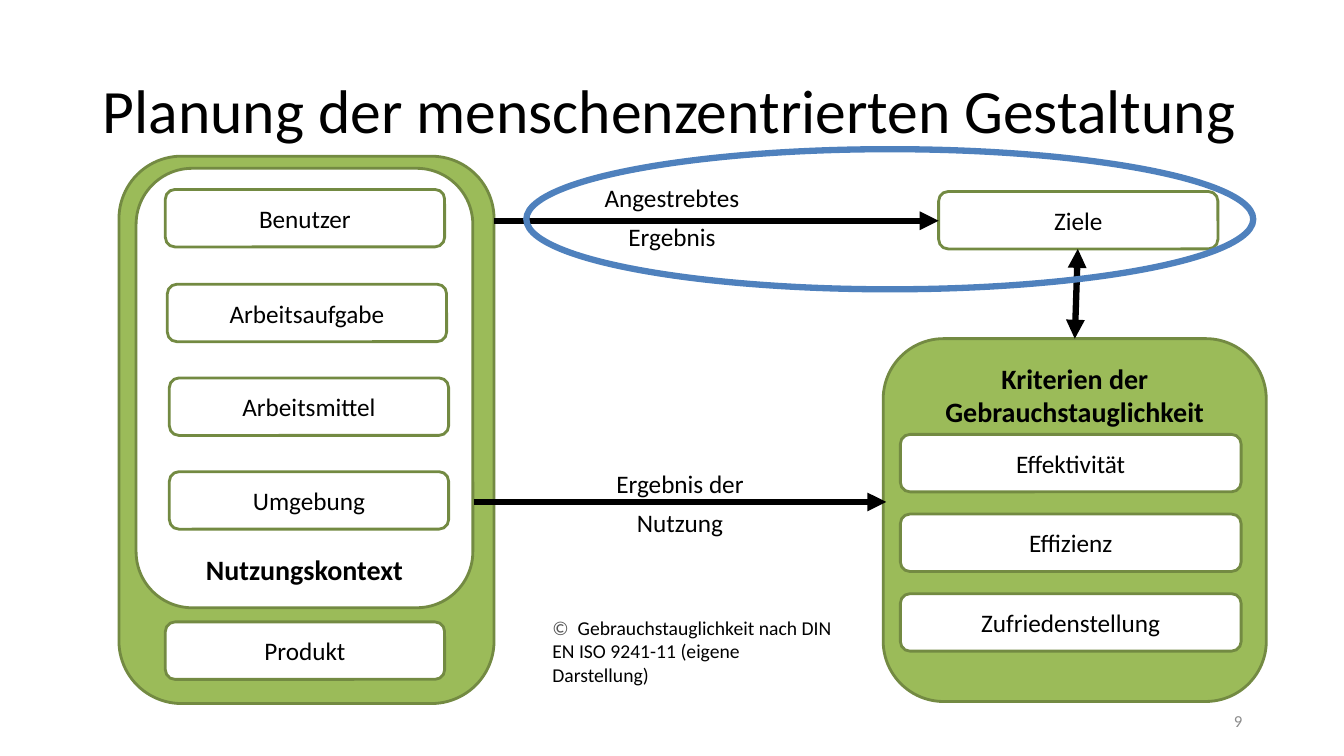
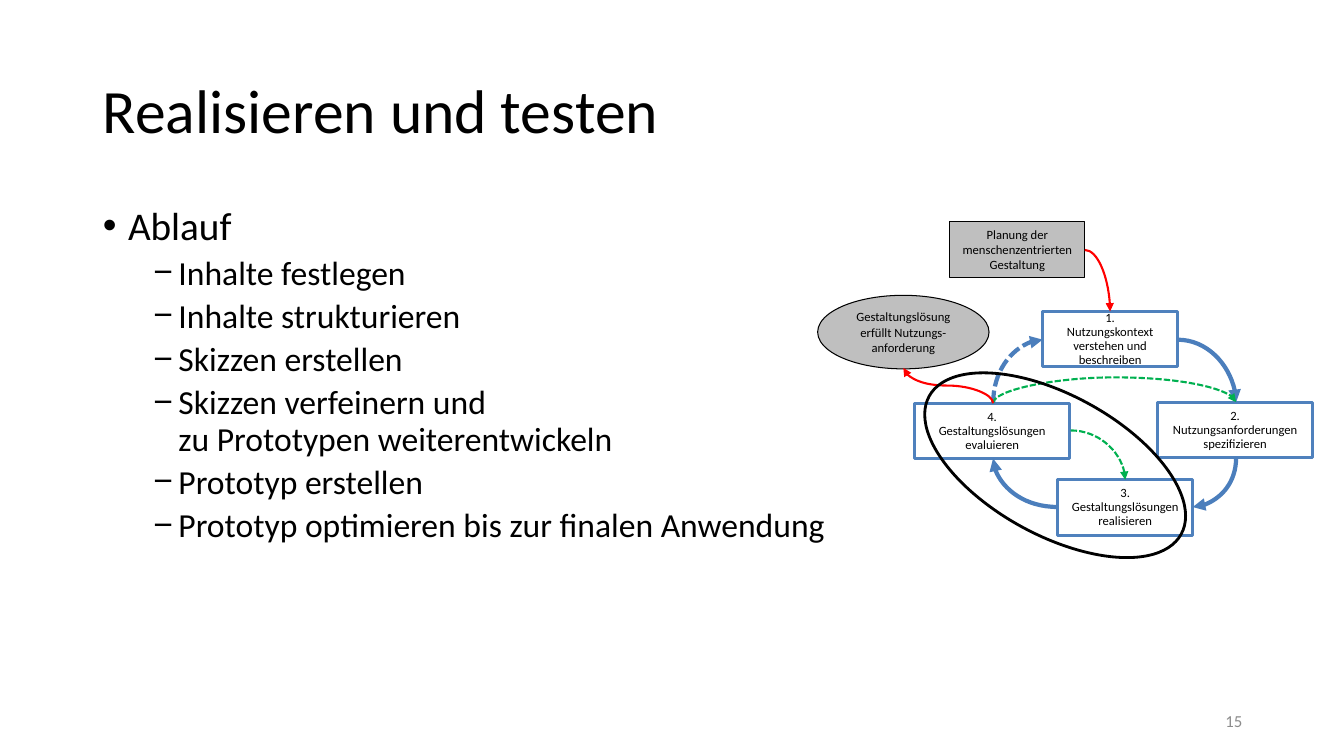
"""Build two slides on human-centred design: planning, then realising and testing."""
from lxml import etree
from pptx import Presentation
from pptx.dml.color import RGBColor
from pptx.enum.dml import MSO_LINE
from pptx.enum.shapes import MSO_CONNECTOR as CONNECTOR, MSO_SHAPE as SHAPE
from pptx.enum.text import MSO_ANCHOR as ANCHOR, MSO_AUTO_SIZE as AUTO_SIZE, PP_ALIGN as ALIGN
from pptx.oxml.ns import qn
from pptx.util import Inches, Pt

FONT = "Calibri"
BLACK, WHITE, GRAY, LIGHT_GRAY = "000000", "FFFFFF", "8C8C8C", "BFBFBF"
GREEN, DARK_GREEN, BLUE, ARROW_BLUE = "9BBB59", "738A42", "4F81BD", "4B7EBC"
ARROW_GREEN, RED, COPYRIGHT_GRAY = "00B050", "FF0000", "535353"
TITLE_BOX = (0.92, 0.4, 11.5, 1.45)
NUMBER_BOX = (9.42, 6.95, 3, 0.4)

CONTEXT_BOXES = [("Benutzer", 1.64, 1.88), ("Arbeitsaufgabe", 1.66, 2.82),
                 ("Arbeitsmittel", 1.68, 3.75), ("Umgebung", 1.68, 4.68),
                 ("Produkt", 1.64, 6.17), ("Ziele", 9.31, 1.9)]
CRITERIA = ["Effektivität", "Effizienz", "Zufriedenstellung"]
CRITERIA_TOP, CRITERIA_STEP = 4.31, 0.79
PLAN_LABELS = [("Angestrebtes\vErgebnis", (5.28, 1.67, 2.77, 0.88)),
               ("Ergebnis der\nNutzung", (5.36, 4.46, 2.77, 0.97))]
PLAN_ARROWS = [((4.9, 2.19), (9.31, 2.19), False),
               ((10.66, 3.36), (10.69, 2.47), True),
               ((4.7, 4.98), (8.79, 4.98), False)]

STEPS_HEADING = "Ablauf"
STEPS = ["Inhalte festlegen", "Inhalte strukturieren", "Skizzen erstellen",
         "Skizzen verfeinern und\vzu Prototypen weiterentwickeln",
         "Prototyp erstellen", "Prototyp optimieren bis zur finalen Anwendung"]
CYCLE_BOXES = [("1.\nNutzungskontext verstehen und beschreiben", (10.34, 3.09, 1.34, 0.55)),
               ("2.\nNutzungsanforderungen spezifizieren", (11.48, 3.99, 1.54, 0.55)),
               ("3. Gestaltungslösungen\nrealisieren", (10.49, 4.76, 1.34, 0.55)),
               ("4.\nGestaltungslösungen evaluieren", (9.07, 4, 1.54, 0.55))]
END_BOXES = [("Planung der menschenzentrierten Gestaltung", SHAPE.RECTANGLE,
              (9.42, 2.2, 1.34, 0.55)),
             ("Gestaltungslösung erfüllt Nutzungs-anforderung", SHAPE.OVAL,
              (8.11, 2.93, 1.7, 0.73))]
CURVES = [
    dict(start=(9.85, 4), end=(10.34, 3.37), color=ARROW_BLUE, width=3, vertical=True, dashed=True),
    dict(start=(11.68, 3.37), end=(12.26, 3.99), color=ARROW_BLUE, width=3),
    dict(start=(12.26, 4.54), end=(11.83, 5.03), color=ARROW_BLUE, width=3, vertical=True),
    dict(start=(10.49, 5.03), end=(9.85, 4.55), color=ARROW_BLUE, width=3),
    dict(start=(10.62, 4.27), end=(11.16, 4.76), color=ARROW_GREEN, width=1.5, dashed=True),
    dict(start=(9.85, 4), end=(12.26, 3.99), color=ARROW_GREEN, width=1.5, vertical=True,
         dashed=True, bend=26),
    dict(start=(10.76, 2.48), end=(11.01, 3.09), color=RED, width=1.5),
    dict(start=(9.85, 4), end=(8.96, 3.65), color=RED, width=1.5, vertical=True, bend=0.5),
]


def rgb(color):
    return RGBColor.from_string(color)


def inches(values):
    return [Inches(value) for value in values]


def place(shape, box):
    shape.left, shape.top, shape.width, shape.height = inches(box)


def format_paragraph(paragraph, size, color=BLACK, bold=False, align=ALIGN.LEFT, spacing=None):
    paragraph.alignment = align
    if spacing:
        paragraph.line_spacing = spacing
    font = paragraph.font
    font.name, font.size, font.bold = FONT, Pt(size), bold
    font.color.rgb = rgb(color)


def write(shape, text, size, anchor=ANCHOR.MIDDLE, **style):
    frame = shape.text_frame
    frame.word_wrap = True
    frame.vertical_anchor = anchor
    frame.text = text
    for paragraph in frame.paragraphs:
        format_paragraph(paragraph, size, **style)


def add_box(slide, kind, box, fill=None, line=None, width=2.0):
    shape = slide.shapes.add_shape(kind, *inches(box))
    shape.shadow.inherit = False
    if fill:
        shape.fill.solid()
        shape.fill.fore_color.rgb = rgb(fill)
    else:
        shape.fill.background()
    if line:
        shape.line.color.rgb = rgb(line)
        shape.line.width = Pt(width)
    else:
        shape.line.fill.background()
    return shape


def add_label_box(slide, text, box, size=18, kind=SHAPE.ROUNDED_RECTANGLE, fill=WHITE,
                  line=DARK_GREEN, width=2.0, **style):
    shape = add_box(slide, kind, box, fill, line, width)
    write(shape, text, size, align=ALIGN.CENTER, **style)


def add_arrow(slide, kind, start, end, color, width, dashed=False, both=False):
    connector = slide.shapes.add_connector(kind, *inches(start + end))
    connector.line.color.rgb = rgb(color)
    connector.line.width = Pt(width)
    if dashed:
        connector.line.dash_style = MSO_LINE.SQUARE_DOT
    properties = connector.element.spPr
    outline = properties.find(qn("a:ln"))
    for tag in ["a:headEnd", "a:tailEnd"] if both else ["a:tailEnd"]:
        etree.SubElement(outline, qn(tag), type="triangle")
    etree.SubElement(properties, qn("a:effectLst"))
    return connector


def add_curve(slide, start, end, color, width, vertical=False, dashed=False, bend=None):
    """Draw a curved arrow; a vertical one leaves its start up or down, by a quarter turn."""
    if vertical:
        middle_x, middle_y = (start[0] + end[0]) / 2, (start[1] + end[1]) / 2
        half_x, half_y = (end[1] - start[1]) / 2, (start[0] - end[0]) / 2
        start = (middle_x - half_x, middle_y - half_y)
        end = (middle_x + half_x, middle_y + half_y)
    connector = add_arrow(slide, CONNECTOR.CURVE, start, end, color, width, dashed)
    properties = connector.element.spPr
    if vertical:
        properties.find(qn("a:xfrm")).set("rot", "5400000")
    geometry = properties.find(qn("a:prstGeom"))
    if bend is None:
        geometry.set("prst", "curvedConnector2")
    else:
        adjustments = geometry.find(qn("a:avLst"))
        etree.SubElement(adjustments, qn("a:gd"), name="adj1", fmla=f"val {int(bend * 100000)}")


def add_slide(presentation, layout, title, number):
    slide = presentation.slides.add_slide(presentation.slide_layouts[layout])
    place(slide.shapes.title, TITLE_BOX)
    write(slide.shapes.title, title, 44, spacing=0.9)
    number_box = slide.shapes.add_textbox(*inches(NUMBER_BOX))
    write(number_box, number, 12, color=GRAY, align=ALIGN.RIGHT)
    return slide


def add_list_item(paragraph, text, level, size, indent, before, bullet):
    paragraph.text = text
    paragraph.level = level
    paragraph.space_before = Pt(before)
    properties = paragraph._p.get_or_add_pPr()
    properties.set("marL", str(Inches(indent)))
    properties.set("indent", str(Inches(-0.25)))
    etree.SubElement(properties, qn("a:buChar"), char=bullet)
    format_paragraph(paragraph, size, spacing=0.9)


def build_planning(presentation):
    slide = add_slide(presentation, 5, "Planung der menschenzentrierten Gestaltung", "9")
    add_box(slide, SHAPE.ROUNDED_RECTANGLE, (1.18, 1.55, 3.72, 5.43), GREEN, DARK_GREEN)
    add_label_box(slide, "Nutzungskontext", (1.35, 1.67, 3.34, 4.36), 20,
                  bold=True, anchor=ANCHOR.BOTTOM)
    add_label_box(slide, "Kriterien der Gebrauchstauglichkeit", (8.76, 3.36, 3.8, 3.6), 20,
                  fill=GREEN, bold=True, anchor=ANCHOR.TOP)
    for text, left, top in CONTEXT_BOXES:
        add_label_box(slide, text, (left, top, 2.77, 0.57))
    for index, text in enumerate(CRITERIA):
        add_label_box(slide, text, (8.93, CRITERIA_TOP + index * CRITERIA_STEP, 3.38, 0.57))
    for start, end, both in PLAN_ARROWS:
        add_arrow(slide, CONNECTOR.STRAIGHT, start, end, BLACK, 4.5, both=both)
    for text, box in PLAN_LABELS:
        add_label_box(slide, text, box, fill=None, line=None, spacing=Pt(28))
    credit = slide.shapes.add_textbox(*inches((5.38, 6.06, 3.01, 0.81)))
    write(credit, "", 14, anchor=ANCHOR.TOP)
    paragraph = credit.text_frame.paragraphs[0]
    symbol = paragraph.add_run()
    symbol.text = "©  "
    symbol.font.color.rgb = rgb(COPYRIGHT_GRAY)
    paragraph.add_run().text = "Gebrauchstauglichkeit nach DIN EN ISO 9241-11 (eigene Darstellung)"
    add_box(slide, SHAPE.OVAL, (5.22, 1.48, 7.21, 1.39), line=BLUE, width=4.5)


def build_testing(presentation):
    slide = add_slide(presentation, 1, "Realisieren und testen", "15")
    body = slide.placeholders[1]
    place(body, (0.92, 2, 7.48, 4.76))
    frame = body.text_frame
    frame.auto_size = AUTO_SIZE.NONE
    add_list_item(frame.paragraphs[0], STEPS_HEADING, 0, 28, 0.25, 10, "•")
    for text in STEPS:
        add_list_item(frame.add_paragraph(), text, 1, 24, 0.75, 5, "−")
    for text, box in CYCLE_BOXES:
        add_label_box(slide, text, box, 9, SHAPE.RECTANGLE, line=BLUE, spacing=Pt(10))
    for text, kind, box in END_BOXES:
        add_label_box(slide, text, box, 9, kind, LIGHT_GRAY, BLACK, 0.75)
    for curve in CURVES:
        add_curve(slide, **curve)
    focus = add_box(slide, SHAPE.OVAL, (9.04, 3.92, 2.85, 1.39), line=BLACK)
    focus.rotation = 28.7


def main():
    presentation = Presentation()
    presentation.slide_width, presentation.slide_height = Inches(13.33), Inches(7.5)
    build_planning(presentation)
    build_testing(presentation)
    presentation.save("out.pptx")


if __name__ == "__main__":
    main()
